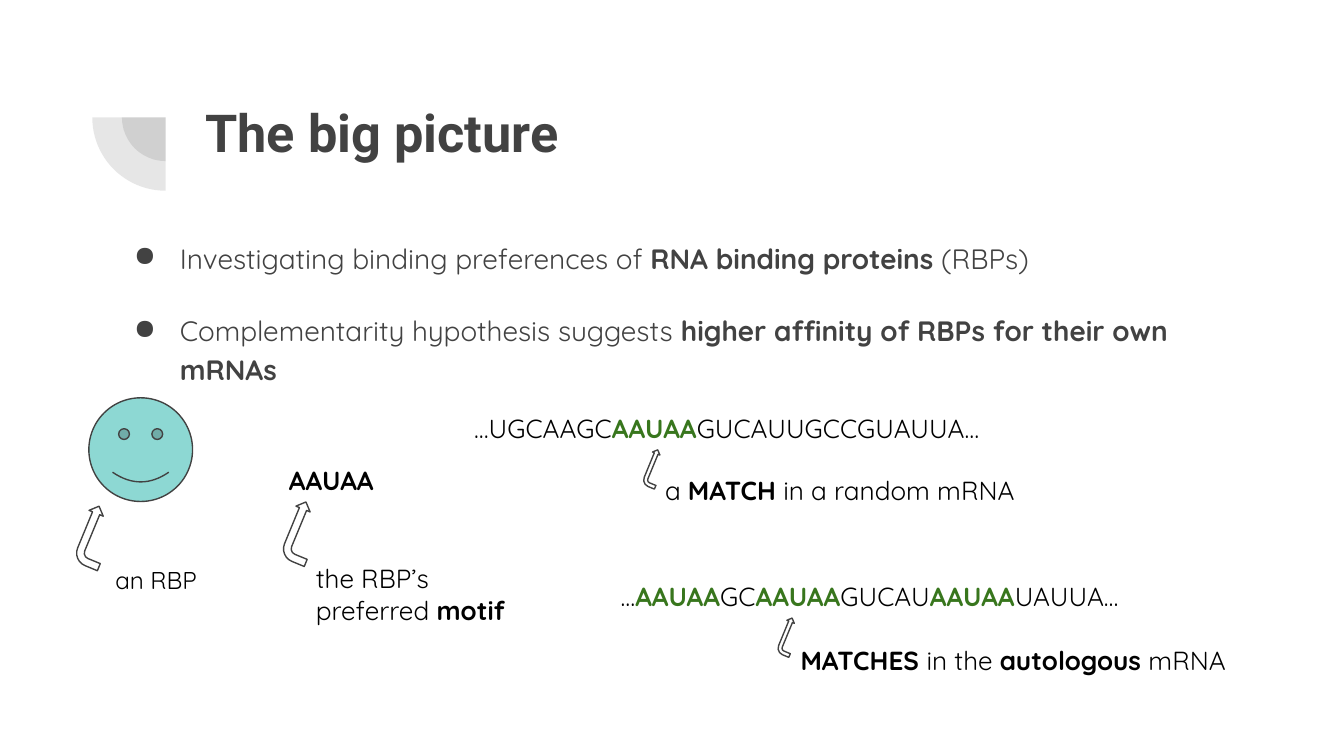
from pptx import Presentation
from pptx.dml.color import RGBColor
from pptx.enum.shapes import MSO_SHAPE
from pptx.enum.text import MSO_ANCHOR, PP_ALIGN
from pptx.oxml.ns import qn
from pptx.util import Cm, Pt
from lxml.etree import SubElement

COLORS = {"dark": "424242", "black": "000000", "green": "38761D",
          "teal": "8DD8D3", "white": "FFFFFF"}
INSET = 0.25

TITLE = "The big picture"
# Runs are (text, style): "" plain, "b" bold, "g" bold green
BULLETS = [
    [("Investigating binding preferences of ", ""), ("RNA binding proteins", "b"), (" (RBPs)", "")],
    [("Complementarity hypothesis suggests ", ""),
     ("higher affinity of RBPs for their own mRNAs", "b")],
]
MOTIF = ("AAUAA", "g")
# (left, top, width, height) in cm, font size, runs
LABELS = [
    ((1.93, 10.44, 4.04, 1.07), 13, [("an RBP", "")]),
    ((5.21, 8.53, 2.44, 1.12), 14, [("AAUAA", "b")]),
    ((5.72, 10.39, 4.19, 1.7), 14, [("the RBP’s preferred ", ""), ("motif", "b")]),
    ((8.71, 7.54, 10.95, 1.12), 14, [("…UGCAAGC", ""), MOTIF, ("GUCAUUGCCGUAUUA…", "")]),
    ((12.32, 8.71, 7.26, 1.12), 14, [("a ", ""), ("MATCH ", "b"), ("in a random mRNA", "")]),
    ((11.48, 10.72, 10.95, 1.12), 14,
     [("…", ""), MOTIF, ("GC", ""), MOTIF, ("GUCAU", ""), MOTIF, ("UAUUA…", "")]),
    ((14.88, 11.94, 9.02, 1.12), 14,
     [("MATCHES ", "b"), ("in the ", ""), ("autologous ", "b"), ("mRNA", "")]),
]
BIG_ARROW, SMALL_ARROW = (1.14, 0.58), (0.71, 0.3)
ARROWS = [((1.22, 9.86), BIG_ARROW), ((5.13, 9.78), BIG_ARROW),
          ((12.01, 8.71), SMALL_ARROW), ((14.55, 11.89), SMALL_ARROW)]
PIE_CENTER, PIE_DIAMETERS = (3.13, 2.22), (1.65, 2.77)


def rgb(name):
    return RGBColor.from_string(COLORS[name])


def cm(box):
    return [Cm(v) for v in box]


def set_frame(tf):
    tf.word_wrap = True
    tf.vertical_anchor = MSO_ANCHOR.TOP
    tf.margin_left = tf.margin_right = tf.margin_top = tf.margin_bottom = Cm(INSET)


def style_font(font, name, size, color, bold):
    font.name, font.size, font.bold = name, Pt(size), bold
    font.color.rgb = rgb(color)


def add_runs(p, runs, size, color):
    for text, style in runs:
        r = p.add_run()
        r.text = text
        style_font(r.font, "Quicksand", size, "green" if style == "g" else color, bool(style))


def add_textbox(s, box):
    tf = s.shapes.add_textbox(*cm(box)).text_frame
    set_frame(tf)
    return tf


def add_bullet(p):
    pPr = p._p.get_or_add_pPr()
    pPr.set("marL", str(Cm(1.27)))
    pPr.set("indent", str(-Cm(0.87)))
    color = SubElement(pPr, qn("a:buClr"))
    SubElement(color, qn("a:srgbClr"), val=COLORS["dark"])
    SubElement(pPr, qn("a:buChar"), char="●")


def add_figure(s, kind, box, fill, rotation=0, outlined=True):
    sp = s.shapes.add_shape(kind, *cm(box))
    sp.shadow.inherit = False
    sp.rotation = rotation
    sp.fill.solid()
    sp.fill.fore_color.rgb = rgb(fill)
    if outlined:
        sp.line.color.rgb = rgb("dark")
        sp.line.width = Pt(0.75)
    else:
        sp.line.fill.background()
    return sp


def add_quarter(s, diameter):
    """Add a translucent lower-left quarter disc around the shared centre."""
    left, top = (c - diameter / 2 for c in PIE_CENTER)
    sp = add_figure(s, MSO_SHAPE.PIE, (left, top, diameter, diameter), "dark", 270, False)
    sp.adjustments[0], sp.adjustments[1] = 108, 162
    color = sp._element.spPr.find(qn("a:solidFill")).find(qn("a:srgbClr"))
    SubElement(color, qn("a:alpha"), val="13000")


def main():
    prs = Presentation()
    prs.slide_width, prs.slide_height = Cm(25.4), Cm(14.29)
    s = prs.slides.add_slide(prs.slide_layouts[5])

    for diameter in PIE_DIAMETERS:
        add_quarter(s, diameter)

    title = s.shapes.title
    title.left, title.top, title.width, title.height = cm((3.63, 1.65, 19.53, 2.77))
    title.text_frame.text = TITLE
    set_frame(title.text_frame)
    p = title.text_frame.paragraphs[0]
    p.alignment = PP_ALIGN.LEFT
    style_font(p.runs[0].font, "Roboto", 28, "dark", True)

    tf = add_textbox(s, (1.88, 4.22, 22.02, 2.77))
    for i, runs in enumerate(BULLETS):
        p = tf.add_paragraph() if i else tf.paragraphs[0]
        p.line_spacing = 1.15
        p.space_before = Pt(18 if i else 0)
        add_bullet(p)
        add_runs(p, runs, 15, "dark")

    add_figure(s, MSO_SHAPE.SMILEY_FACE, (1.68, 7.52, 1.96, 1.96), "teal")
    for position, size in ARROWS:
        arrow = add_figure(s, MSO_SHAPE.BENT_ARROW, position + size, "white", 292.4)
        arrow.adjustments[3] = 0.44
    for box, size, runs in LABELS:
        add_runs(add_textbox(s, box).paragraphs[0], runs, size, "black")

    prs.save("out.pptx")


if __name__ == "__main__":
    main()
